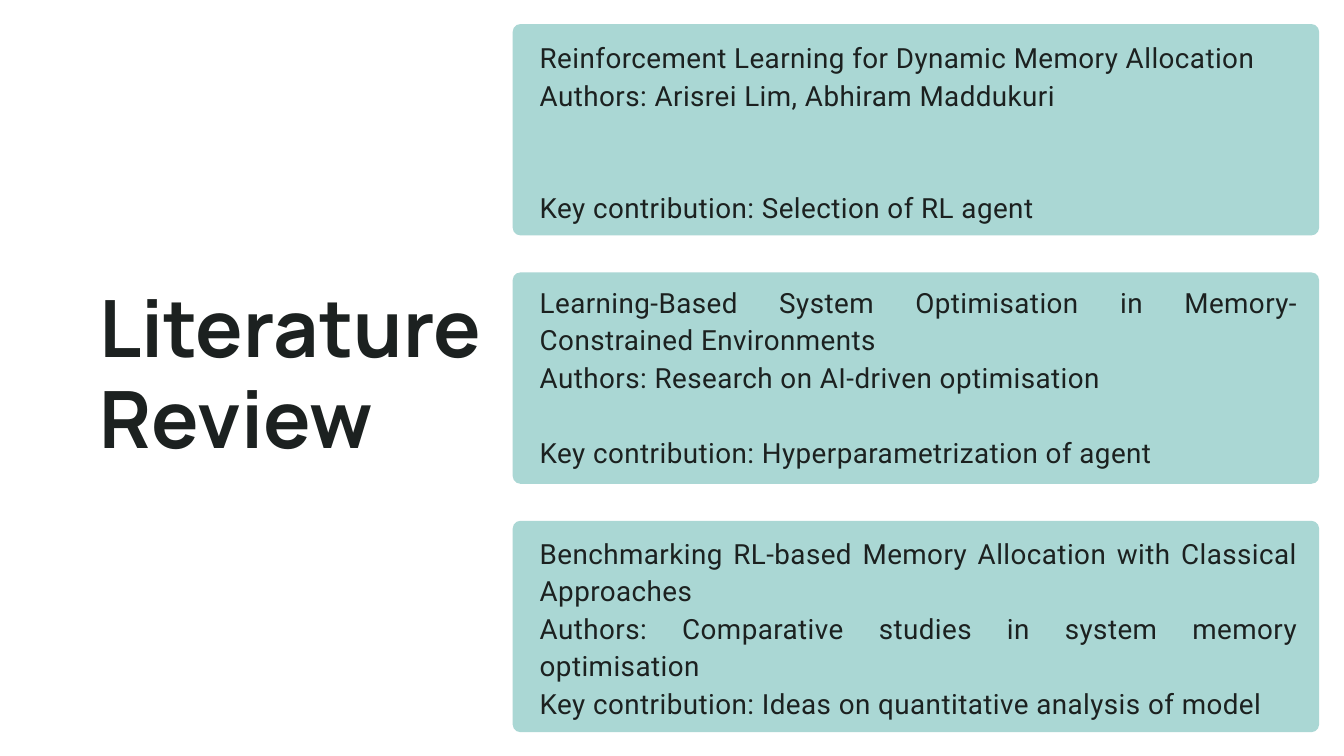
from pptx import Presentation
from pptx.dml.color import RGBColor
from pptx.enum.shapes import MSO_SHAPE as Shape
from pptx.enum.text import PP_ALIGN as Align
from pptx.util import Cm, Pt

TEAL = RGBColor(0xAA, 0xD7, 0xD4)
INK = RGBColor(0x1C, 0x21, 0x20)

CARD_LEFT, CARD_TOP, CARD_WIDTH, CARD_HEIGHT = 19.38, 0.91, 30.48, 7.99
CARD_PITCH = 9.39
CARD_RADIUS = 0.29
TEXT_LEFT, TEXT_WIDTH, TEXT_HEIGHT = 20.4, 28.68, 7.01
LINE_PITCH = 40.2

# Text inset from the card's top (cm), lines left free above the contribution, paragraphs
PAPERS = [
    (0.49, 2, ["Reinforcement Learning for Dynamic Memory Allocation",
               "Authors: Arisrei Lim, Abhiram Maddukuri",
               "Key contribution: Selection of RL agent"]),
    (0.34, 1, ["Learning-Based System Optimisation in Memory-Constrained Environments",
               "Authors: Research on AI-driven optimisation",
               "Key contribution: Hyperparametrization of agent"]),
    (0.43, 0, ["Benchmarking RL-based Memory Allocation with Classical Approaches",
               "Authors: Comparative studies in system memory optimisation",
               "Key contribution: Ideas on quantitative analysis of model"]),
]


def add_text(slide, paragraphs, left, top, width, height, *, font, size, line_pitch,
             bold=False, align=Align.LEFT, tracking=0, last_gap=0):
    """Add a text box; tracking and last_gap (space above the last paragraph) are in points."""
    box = slide.shapes.add_textbox(Cm(left), Cm(top), Cm(width), Cm(height))
    frame = box.text_frame
    frame.word_wrap = True
    frame.margin_left = frame.margin_right = frame.margin_top = frame.margin_bottom = 0
    for index, text in enumerate(paragraphs):
        paragraph = frame.add_paragraph() if index else frame.paragraphs[0]
        paragraph.alignment = align
        paragraph.line_spacing = Pt(line_pitch)
        run = paragraph.add_run()
        run.text = text
        run.font.name = font
        run.font.size = Pt(size)
        run.font.bold = bold
        run.font.color.rgb = INK
        if tracking:
            run.font._element.set("spc", str(round(tracking * 100)))
    if last_gap:
        paragraph.space_before = Pt(last_gap)


def add_card(slide, top):
    card = slide.shapes.add_shape(Shape.ROUNDED_RECTANGLE, Cm(CARD_LEFT), Cm(top),
                                  Cm(CARD_WIDTH), Cm(CARD_HEIGHT))
    card.adjustments[0] = CARD_RADIUS / CARD_HEIGHT
    card.shadow.inherit = False
    card.fill.solid()
    card.fill.fore_color.rgb = TEAL
    card.line.fill.background()


def add_paper(slide, top, inset, free_lines, paragraphs):
    add_card(slide, top)
    add_text(slide, paragraphs, TEXT_LEFT, top + inset, TEXT_WIDTH, TEXT_HEIGHT,
             font="Roboto", size=29.8, line_pitch=LINE_PITCH, align=Align.JUSTIFY,
             tracking=0.5, last_gap=free_lines * LINE_PITCH)


def main():
    deck = Presentation()
    deck.slide_width, deck.slide_height = Cm(50.8), Cm(28.58)
    slide = deck.slides.add_slide(deck.slide_layouts[6])

    add_text(slide, ["Literature Review"], 3.76, 10.72, 23.72, 7.06,
             font="Manrope", size=84.7, line_pitch=96.6, bold=True)
    for row, paper in enumerate(PAPERS):
        add_paper(slide, CARD_TOP + row * CARD_PITCH, *paper)

    deck.save("out.pptx")


if __name__ == "__main__":
    main()
